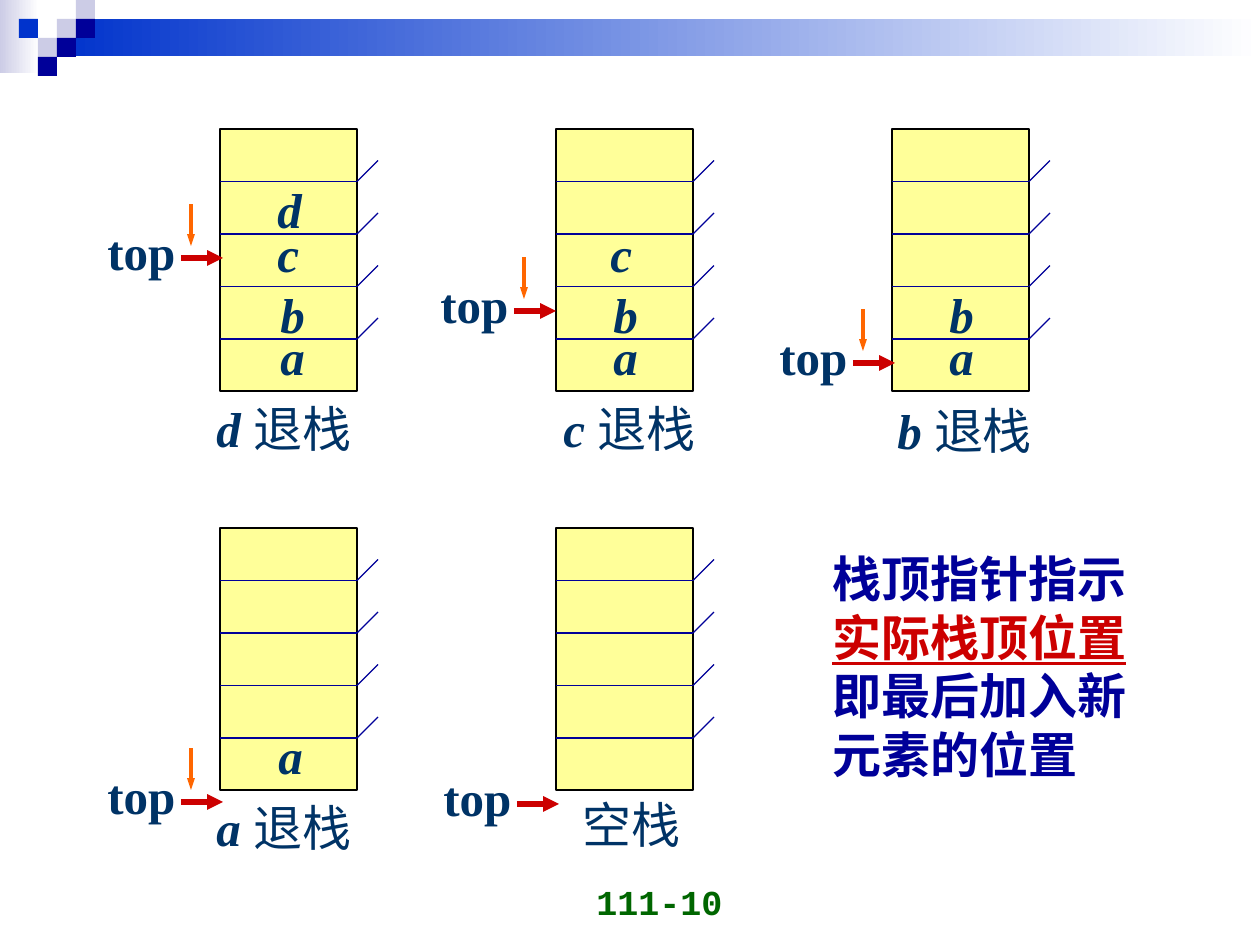
import pptx
import pptx.util
import pptx.dml.color
import pptx.enum.shapes
import pptx.enum.text
import pptx.oxml.ns
import lxml.etree

PX = 914400 / 126
HUES = {"pale": "CCCCE6", "blue": "0033CC", "navy": "000099", "white": "FFFFFF",
        "cell": "FFFF99", "black": "000000", "text": "003366", "red": "CC0000",
        "orange": "FF6600", "green": "006600"}
KIND = pptx.enum.shapes.MSO_SHAPE.RECTANGLE
FIT = pptx.enum.text.MSO_AUTO_SIZE.SHAPE_TO_FIT_TEXT

deck = pptx.Presentation()
deck.slide_width = round(1260 * PX)
deck.slide_height = round(945 * PX)
slide = deck.slides.add_slide(deck.slide_layouts[6])
shapes = slide.shapes


def line(x1, y1, x2, y2, hue, width, end=None, wide="med"):
    spots = [round(v * PX) for v in (x1, y1, x2, y2)]
    edge = shapes.add_connector(pptx.enum.shapes.MSO_CONNECTOR.STRAIGHT, *spots)
    edge.line.color.rgb = pptx.dml.color.RGBColor.from_string(HUES[hue])
    edge.line.width = pptx.util.Pt(width)
    if end:
        lxml.etree.SubElement(edge.line._get_or_add_ln(), pptx.oxml.ns.qn("a:" + end),
                              type="triangle", w=wide, len="med")
    lxml.etree.SubElement(edge._element.spPr, pptx.oxml.ns.qn("a:effectLst"))


def write(x, y, w, h, rows, wrap=False):
    """Each row is a list of runs: text, hue and a set of style marks."""
    box = shapes.add_textbox(*[round(v * PX) for v in (x, y, w, h)])
    frame = box.text_frame
    frame.word_wrap = wrap
    frame.auto_size = FIT
    for i, row in enumerate(rows):
        para = frame.add_paragraph() if i else frame.paragraphs[0]
        for text, hue, marks in row:
            run = para.add_run()
            run.text = text
            font = run.font
            font.name = "Times New Roman"
            font.size = pptx.util.Pt(28)
            font.color.rgb = pptx.dml.color.RGBColor.from_string(HUES[hue])
            font.bold = "b" in marks
            font.italic = "i" in marks
            font.underline = "u" in marks
    return frame


# Header bands fading to white
for x, y, w, h, hue in [(0, 0, 39, 73, "pale"), (57, 19, 1203, 37, "blue")]:
    band = shapes.add_shape(KIND, *[round(v * PX) for v in (x, y, w, h)])
    band.shadow.inherit = False
    band.line.fill.background()
    band.fill.gradient()
    band.fill.gradient_angle = 0
    for stop, name, spot in zip(band.fill.gradient_stops, (hue, "white"), (0, 1)):
        stop.color.rgb = pptx.dml.color.RGBColor.from_string(HUES[name])
        stop.position = spot

# Header squares on a 19 px grid
for col, row, hue in [(1, 1, "pale"), (2, 0, "pale"), (2, 1, "navy"), (0, 2, "pale"),
                      (-1, 1, "blue"), (1, 2, "navy"), (0, 3, "navy")]:
    tile = shapes.add_shape(KIND, *[round(v * PX) for v in (38 + 19 * col, 19 * row, 19, 19)])
    tile.shadow.inherit = False
    tile.line.fill.background()
    tile.fill.solid()
    tile.fill.fore_color.rgb = pptx.dml.color.RGBColor.from_string(HUES[hue])

# Stacks: column, top, letters, letter shift, caption place, popped, label, pointer place
drop = {"a": 191, "b": 149, "c": 88, "d": 44}
inset = {"a": 48, "b": 48, "c": 45, "d": 45}
stacks = [
    (0, 129, "abcd", 0, (204, 392), "d", "退栈", (95, 215)),
    (1, 129, "abc", -3, (551, 392), "c", "退栈", (428, 268)),
    (2, 129, "ab", -3, (885, 394), "b", "退栈", (767, 320)),
    (0, 528, "a", -2, (204, 791), "a", "退栈", (95, 759)),
    (1, 528, "", 0, (570, 788), "", "空栈", (431, 761)),
]
for col, top, held, shift, (cx, cy), gone, label, (px, py) in stacks:
    left = 220 + 336 * col
    right = left + 137
    body = shapes.add_shape(KIND, *[round(v * PX) for v in (left, top, 137, 262)])
    body.shadow.inherit = False
    body.fill.solid()
    body.fill.fore_color.rgb = pptx.dml.color.RGBColor.from_string(HUES["cell"])
    body.line.color.rgb = pptx.dml.color.RGBColor.from_string(HUES["black"])
    body.line.width = pptx.util.Pt(0.75)

    # Cell borders with slanted ticks
    for row in range(1, 5):
        y = top + row * 105 / 2
        line(left, y, right, y, "navy", 0.75)
        line(right, y, right + 21, y - 21, "navy", 0.75)

    # Stored letters
    for char in held:
        write(left + inset[char] + shift, top + drop[char], 49, 72,
              [[(char, "text", "bi")]])

    # Caption, with room to stay on one line
    runs = [(label, "text", "")]
    if gone:
        runs = [(gone + " ", "text", "bi")] + runs
    write(cx, cy, 180 if gone else 130, 72, [runs])

    # Pointer and its downward move
    write(px, py, 93, 72, [[("top", "text", "b")]])
    line(px + 86, py + 43, px + 128, py + 43, "red", 3, "tailEnd")
    if gone:
        line(px + 96, py + 31, px + 96, py - 11, "orange", 2.25, "headEnd", "sm")

# Explanation
write(820, 542, 319, 248, [
    [("栈顶指针指示", "navy", "b")],
    [("实际栈顶位置", "red", "bu")],
    [("即最后加入新", "navy", "b")],
    [("元素的位置", "navy", "b")],
], True)

# Page number
frame = write(441, 866, 294, 63, [[("111-10", "green", "b")]], True)
frame.auto_size = pptx.enum.text.MSO_AUTO_SIZE.NONE
frame.vertical_anchor = pptx.enum.text.MSO_ANCHOR.BOTTOM
para = frame.paragraphs[0]
para.alignment = pptx.enum.text.PP_ALIGN.RIGHT
para.runs[0].font.name = "Courier New"
para.runs[0].font.size = pptx.util.Pt(20)

deck.save("out.pptx")
